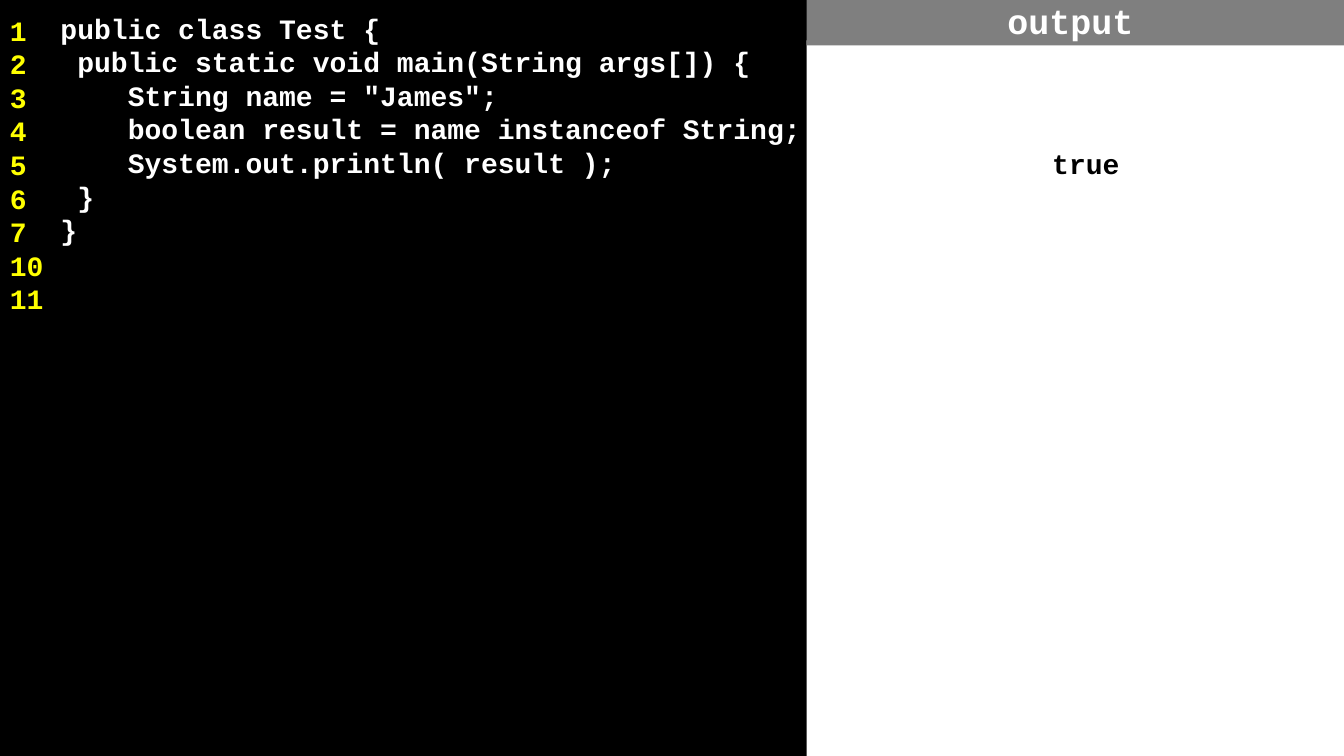
from pptx import Presentation
from pptx.dml.color import RGBColor
from pptx.enum import shapes, text
from pptx.util import Inches, Pt
from lxml import etree

BLACK = RGBColor(0, 0, 0)
WHITE = RGBColor(255, 255, 255)
YELLOW = RGBColor(255, 255, 0)
GRAY = RGBColor(0x7F, 0x7F, 0x7F)
LEFT, MID = text.PP_ALIGN.LEFT, text.PP_ALIGN.CENTER
NS = "http://schemas.openxmlformats.org/drawingml/2006/main"

deck = Presentation()
deck.slide_width, deck.slide_height = Inches(13.33), Inches(7.5)
slide = deck.slides.add_slide(deck.slide_layouts[6])


def panel(x, y, w, h, fill, alpha=None):
    box = slide.shapes.add_shape(shapes.MSO_SHAPE.RECTANGLE,
                                 Inches(x), Inches(y), Inches(w), Inches(h))
    box.shadow.inherit = False
    box.line.fill.background()
    box.fill.solid()
    box.fill.fore_color.rgb = fill
    if alpha:
        color = box.fill._xPr.find(f".//{{{NS}}}srgbClr")
        etree.SubElement(color, f"{{{NS}}}alpha", val=str(alpha * 1000))
    return box


def write(box, lines, color, inset, size=20, align=LEFT,
          anchor=text.MSO_ANCHOR.TOP):
    frame = box.text_frame
    frame.word_wrap = True
    frame.vertical_anchor = anchor
    (frame.margin_left, frame.margin_top,
     frame.margin_right, frame.margin_bottom) = map(Inches, inset)
    for i, line in enumerate(lines):
        para = frame.paragraphs[0] if i == 0 else frame.add_paragraph()
        para.text = line
        para.alignment = align
        para.font.name = "Courier New"
        para.font.size = Pt(size)
        para.font.bold = True
        para.font.color.rgb = color


# Code
CODE = """public class Test {
 public static void main(String args[]) {
    String name = "James";
    boolean result = name instanceof String;
    System.out.println( result );
 }
}"""
write(panel(0, 0, 8.25, 7.5, BLACK), CODE.split("\n"), WHITE,
      (0.6, 0.11, 0.1, 1))

# Line numbers
panel(0, 0, 0.58, 0.08, BLACK, 68)
write(panel(0, 0.08, 0.58, 7.42, BLACK, 68),
      [str(n) for n in (*range(1, 8), 10, 11)], YELLOW, (0.1, 0.05, 0.1, 1))

# Output, level with the println line
write(panel(8, 0.4, 5.34, 7.1, WHITE), ["true"], BLACK,
      (0.2, 1.05, 0, 0), align=MID)
write(panel(8, 0, 5.33, 0.45, GRAY), ["output"], WHITE,
      (0, 0.05, 0.1, 0.1), 25, MID, text.MSO_ANCHOR.MIDDLE)

deck.save("out.pptx")
